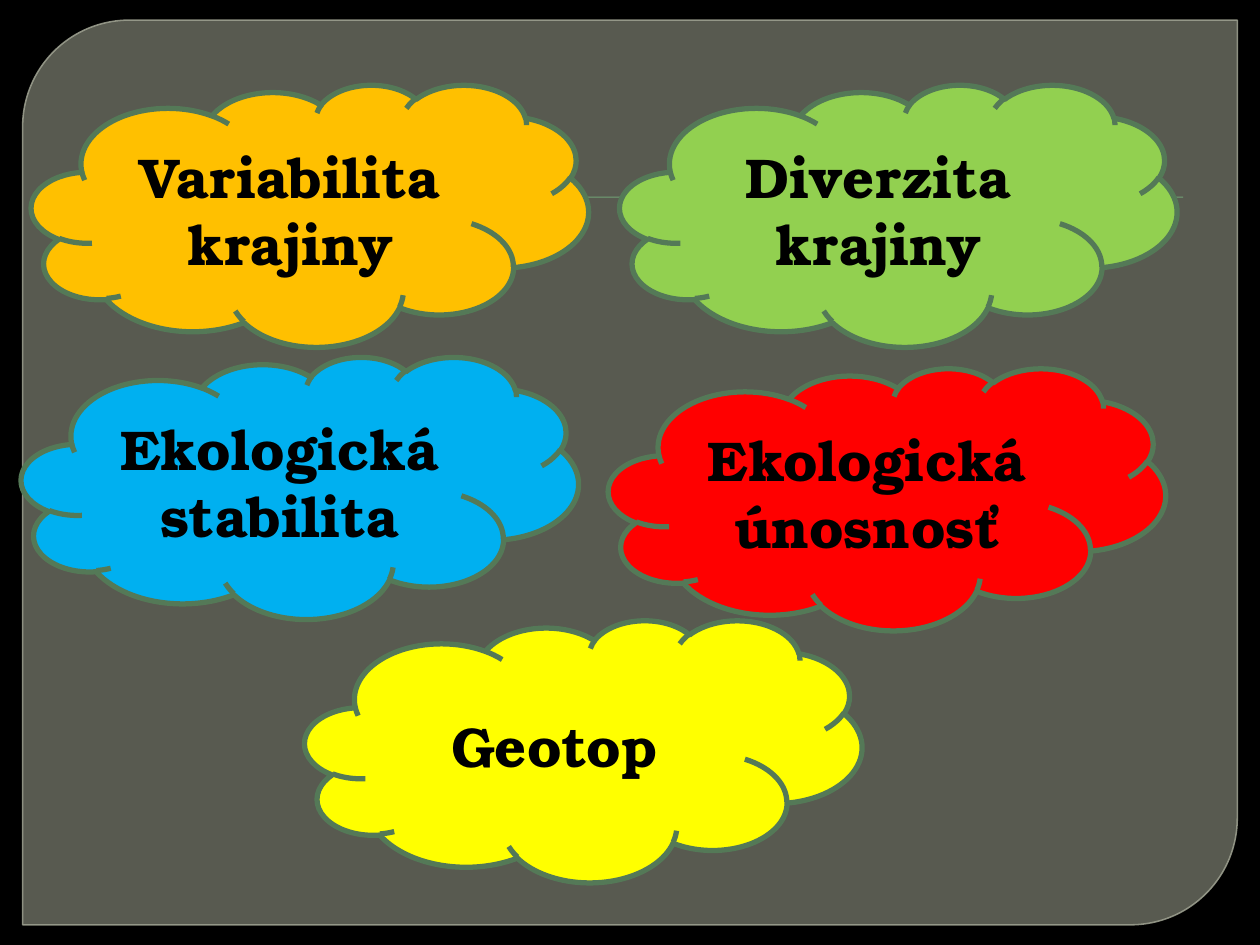
from pptx import Presentation
from pptx.dml.color import RGBColor
from pptx.enum.shapes import MSO_SHAPE
from pptx.enum.text import MSO_ANCHOR, PP_ALIGN
from pptx.oxml.ns import qn
from pptx.util import Inches, Pt
from lxml import etree


def color(hex_string):
    return RGBColor.from_string(hex_string)


def set_opacity(fill_or_line, percent):
    """Add an alpha value to the solid colour inside a shape's XML."""
    color_element = fill_or_line.find(qn("a:solidFill")).find(qn("a:srgbClr"))
    etree.SubElement(color_element, qn("a:alpha")).set("val", str(percent * 1000))


presentation = Presentation()
presentation.slide_width = Inches(10)
presentation.slide_height = Inches(7.5)
slide = presentation.slides.add_slide(presentation.slide_layouts[6])
slide.background.fill.solid()
slide.background.fill.fore_color.rgb = color("000000")

# Translucent panel with two rounded corners
panel = slide.shapes.add_shape(
    MSO_SHAPE.ROUND_2_DIAG_RECTANGLE, Inches(0.18), Inches(0.16), Inches(9.64), Inches(7.18))
panel.adjustments[0] = 0.118
panel.adjustments[1] = 0
panel.shadow.inherit = False
panel.fill.solid()
panel.fill.fore_color.rgb = color("888B7B")
panel.line.color.rgb = color("9DA090")
panel.line.width = Pt(0.87)
properties = panel.element.spPr
set_opacity(properties, 65)
set_opacity(properties.find(qn("a:ln")), 88)

# Thin title rule
rule = slide.shapes.add_shape(
    MSO_SHAPE.RECTANGLE, Inches(0.64), Inches(1.56), Inches(8.75), Inches(0.01))
rule.shadow.inherit = False
rule.fill.solid()
rule.fill.fore_color.rgb = color("72A376")
rule.line.fill.background()

# Clouds: text, left, top, fill
clouds = [
    ("Variabilita krajiny", 0.25, 0.67, "FFC000"),
    ("Diverzita krajiny", 4.92, 0.67, "92D050"),
    ("Ekologická stabilita", 0.17, 2.83, "00B0F0"),
    ("Ekologická únosnosť", 4.83, 2.92, "FF0000"),
    ("Geotop ", 2.42, 4.92, "FFFF00"),
]
font_format = {"name": "TeX Gyre Bonum", "size": Pt(32), "bold": True}

for text, left, top, fill in clouds:
    cloud = slide.shapes.add_shape(
        MSO_SHAPE.CLOUD, Inches(left), Inches(top), Inches(4.42), Inches(2.08))
    cloud.shadow.inherit = False
    cloud.fill.solid()
    cloud.fill.fore_color.rgb = color(fill)
    cloud.line.color.rgb = color("547957")
    cloud.line.width = Pt(3)
    cloud.text_frame.word_wrap = True
    cloud.text_frame.vertical_anchor = MSO_ANCHOR.MIDDLE
    paragraph = cloud.text_frame.paragraphs[0]
    paragraph.alignment = PP_ALIGN.CENTER
    run = paragraph.add_run()
    run.text = text
    for attribute, value in font_format.items():
        setattr(run.font, attribute, value)
    run.font.color.rgb = color("000000")

presentation.save("out.pptx")
